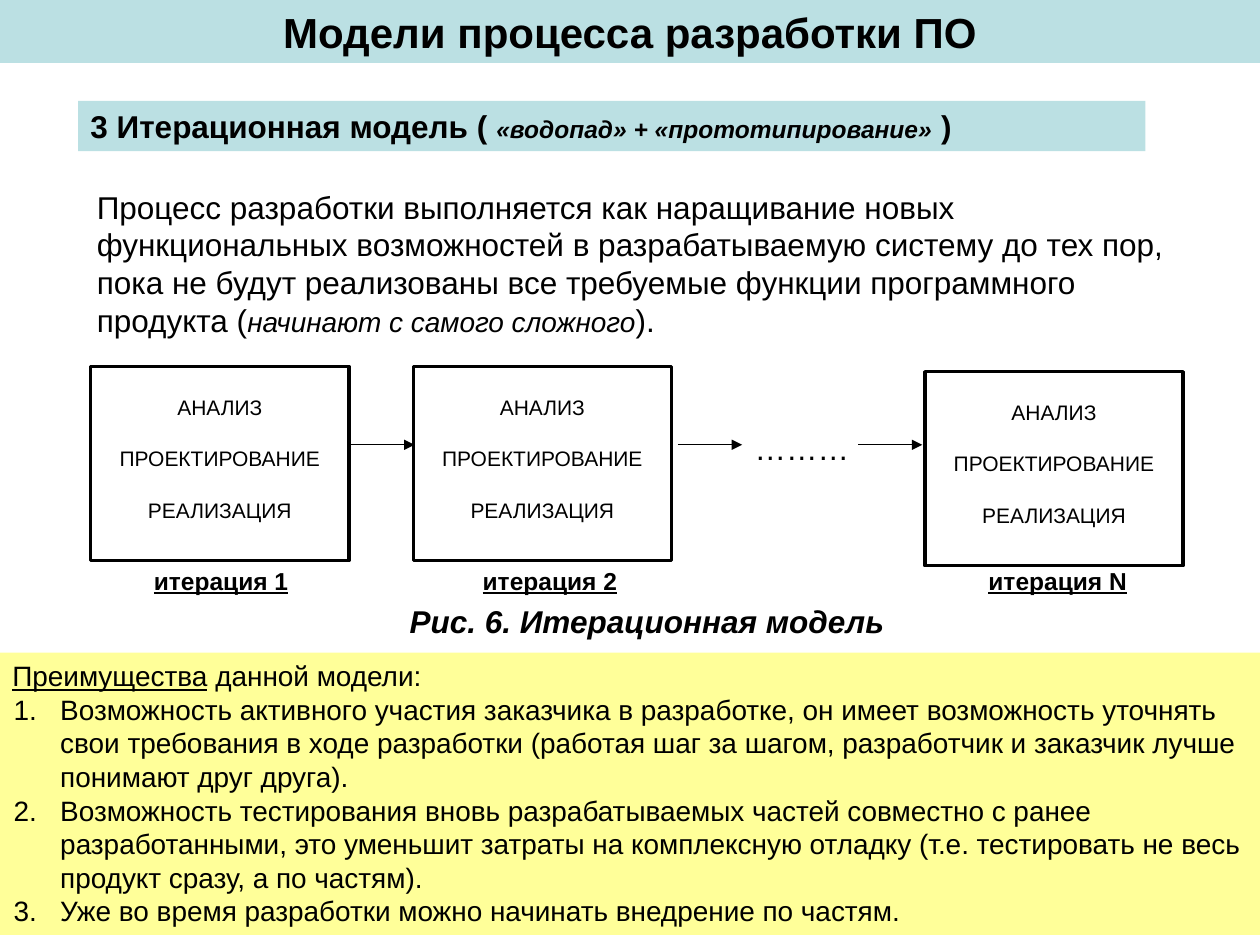
from pptx import Presentation
from pptx.dml.color import RGBColor as Rgb
from pptx.enum.shapes import MSO_CONNECTOR as Link, MSO_SHAPE as Form
from pptx.enum.text import MSO_ANCHOR as Anchor, PP_ALIGN as Align
from pptx.oxml.ns import qn
from pptx.util import Inches, Pt
from lxml.etree import SubElement as Sub

BLACK = Rgb(0x00, 0x00, 0x00)
WHITE = Rgb(0xFF, 0xFF, 0xFF)
TEAL = Rgb(0xBB, 0xE0, 0xE3)
YELLOW = Rgb(0xFF, 0xFF, 0x99)
COLS, ROWS = 100, 75
STAGES = ["АНАЛИЗ", "ПРОЕКТИРОВАНИЕ", "РЕАЛИЗАЦИЯ"]
STEPS = [
    (7.2, 29.1, 8.2, "итерация 1"),
    (32.8, 29.1, 34.3, "итерация 2"),
    (73.4, 29.5, 74.6, "итерация N"),
]
PROS = [
    "Возможность активного участия заказчика в разработке, он имеет возможность "
    "уточнять свои требования в ходе разработки (работая шаг за шагом, "
    "разработчик и заказчик лучше понимают друг друга).",
    "Возможность тестирования вновь разрабатываемых частей совместно с ранее "
    "разработанными, это уменьшит затраты на комплексную отладку "
    "(т.е. тестировать не весь продукт сразу, а по частям).",
    "Уже во время разработки можно начинать внедрение по частям.",
]


def grid(*cells):
    """Turn grid cells of a tenth of an inch into lengths."""
    return [Inches(cell / 10) for cell in cells]


def style(run, size, bold=False, italic=False, line=False):
    """Format one run."""
    font = run.font
    font.name, font.size, font.color.rgb = "Arial", Pt(size), BLACK
    font.bold, font.italic, font.underline = bold, italic, line


def fill_in(para, parts, align=Align.LEFT):
    """Write (text, size, style) parts into a paragraph."""
    para.alignment = align
    for text, size, look in parts:
        run = para.add_run()
        run.text = text
        style(run, size, **look)


def label(slide, cells, parts, align=Align.LEFT):
    """Add a text box and return its frame."""
    frame = slide.shapes.add_textbox(*grid(*cells)).text_frame
    frame.word_wrap = True
    fill_in(frame.paragraphs[0], parts, align)
    return frame


def panel(slide, cells, color):
    """Add a plain filled rectangle."""
    shape = slide.shapes.add_shape(Form.RECTANGLE, *grid(*cells))
    shape.shadow.inherit = False
    shape.fill.solid()
    shape.fill.fore_color.rgb = color
    shape.line.fill.background()
    shape.text_frame.word_wrap = True
    shape.text_frame.vertical_anchor = Anchor.TOP
    return shape


def band(slide, cells, parts, align=Align.LEFT):
    """Add a teal heading band."""
    frame = panel(slide, cells, TEAL).text_frame
    fill_in(frame.paragraphs[0], parts, align)


def step(slide, left, top, tag_left, tag):
    """Add one iteration box with its tag."""
    box = panel(slide, (left, top, 20.5, 15.4), WHITE)
    box.line.color.rgb, box.line.width = BLACK, Pt(2)
    frame = box.text_frame
    frame.margin_left = frame.margin_right = frame.margin_bottom = Inches(0.01)
    frame.margin_top = Inches(0.22)
    frame.text = "\n".join(STAGES)
    for rank, para in enumerate(frame.paragraphs):
        para.alignment = Align.CENTER
        para.space_before = Pt(15 if rank else 0)
        style(para.runs[0], 12)
    look = {"bold": True, "line": True}
    label(slide, (tag_left, 44.4, 18.7, 3.4), [(tag, 14, look)], Align.CENTER)


def arrow(slide, left):
    """Add a short arrow to the right."""
    ends = grid(left, 35.3, left + 5.1, 35.3)
    line = slide.shapes.add_connector(Link.STRAIGHT, *ends)
    line.line.color.rgb, line.line.width = BLACK, Pt(0.75)
    Sub(line.line._get_or_add_ln(), qn("a:tailEnd"), type="triangle")
    Sub(line._element.spPr, qn("a:effectLst"))


def number(para):
    """Give a paragraph an automatic number with a hanging indent."""
    props = para._p.get_or_add_pPr()
    props.set("marL", str(Inches(0.38)))
    props.set("indent", str(-Inches(0.37)))
    Sub(props, qn("a:buFont"), typeface="Arial")
    Sub(props, qn("a:buAutoNum"), type="arabicPeriod")


def merits(slide):
    """Add the panel that lists the advantages."""
    frame = panel(slide, (0, 51.8, COLS, 22.4), YELLOW).text_frame
    parts = [("Преимущества", 16, {"line": True}), (" данной модели:", 16, {})]
    fill_in(frame.paragraphs[0], parts)
    for text in PROS:
        para = frame.add_paragraph()
        number(para)
        fill_in(para, [(text, 16, {})])


def main():
    """Build and save the slide."""
    deck = Presentation()
    deck.slide_width, deck.slide_height = grid(COLS, ROWS)
    slide = deck.slides.add_slide(deck.slide_layouts[6])
    bold, slant = {"bold": True}, {"italic": True}
    both = {**bold, **slant}
    band(slide, (0, 0, COLS, 5),
         [("Модели процесса разработки ПО", 24, bold)], Align.CENTER)
    band(slide, (6.2, 8, 84.7, 4),
         [("3 Итерационная модель ( ", 18, bold),
          ("«водопад» + «прототипирование»", 14, both), (" )", 18, bold)])
    label(slide, (6.7, 14.4, 89.1, 13),
          [("Процесс разработки выполняется как наращивание новых "
            "функциональных возможностей в разрабатываемую систему до тех пор, "
            "пока не будут реализованы все требуемые функции программного "
            "продукта (", 18, {}),
           ("начинают с самого сложного", 16, slant), (").", 18, {})])
    for spot in STEPS:
        step(slide, *spot)
    for left in (27.8, 53.8, 68.1):
        arrow(slide, left)
    label(slide, (58.9, 33.6, 9.8, 4), [("………", 18, {})])
    label(slide, (22.9, 47.3, 57.6, 4),
          [("Рис. 6. Итерационная модель ", 18, both)], Align.CENTER)
    merits(slide)
    deck.save("out.pptx")


if __name__ == "__main__":
    main()
